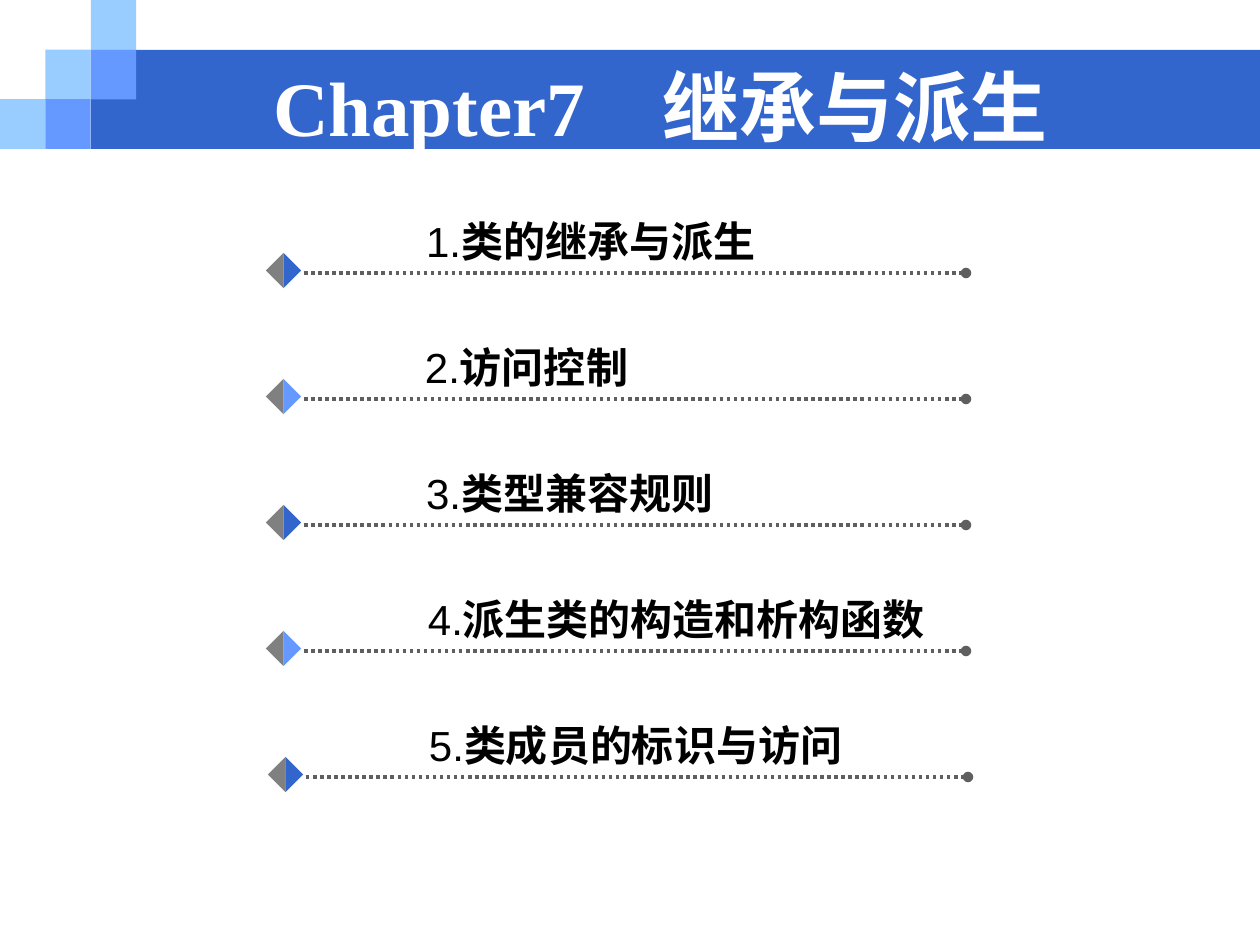
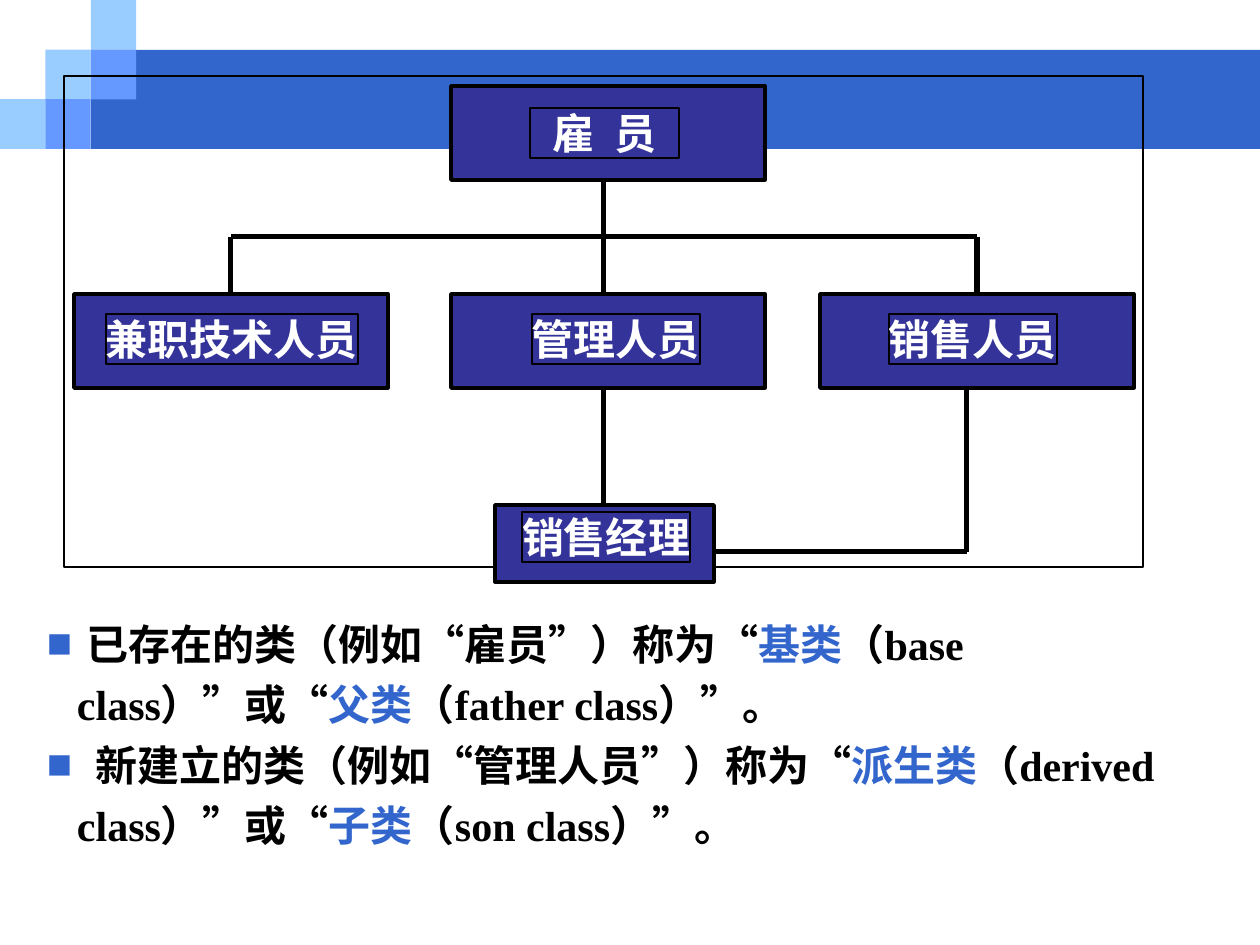
import pptx
import pptx.util
import pptx.dml.color
import pptx.enum.dml
import pptx.enum.shapes
import pptx.enum.text
import pptx.oxml.ns
import lxml.etree

EMU_PER_PX = 914400 / 126
COLORS = {
    "band": "3366CC", "sky": "99CCFF", "mid": "6699FF", "gray": "808080",
    "dots": "5F5F5F", "node": "333399", "black": "000000", "white": "FFFFFF",
}
SHAPES = pptx.enum.shapes.MSO_SHAPE
ALIGN = pptx.enum.text.PP_ALIGN
ANCHOR = pptx.enum.text.MSO_ANCHOR
SERIF, SANS = "Times New Roman", "Arial"
BOLD_24 = {"size": pptx.util.Pt(24), "name": SERIF, "bold": True}
PLAIN_24 = {"size": pptx.util.Pt(24), "name": SANS, "bold": False}
BOLD_44 = {"size": pptx.util.Pt(44), "name": SERIF, "bold": True}
CHARACTER = 42  # width of one 24 pt Chinese character


# Basics
def px(length):
    return pptx.util.Emu(round(length * EMU_PER_PX))


def rgb(name):
    return pptx.dml.color.RGBColor.from_string(COLORS[name])


def apply_format(target, values):
    for attribute, value in values.items():
        setattr(target, attribute, value)


def add_element(parent, tag, **attributes):
    element = lxml.etree.SubElement(parent, pptx.oxml.ns.qn(tag))
    for name, value in attributes.items():
        element.set(name, value)
    return element


# Shapes and lines
def add_block(slide, box, fill=None, outline=None, kind=SHAPES.RECTANGLE, rotation=0):
    shape = slide.shapes.add_shape(kind, *map(px, box))
    shape.shadow.inherit = False
    shape.rotation = rotation
    if fill:
        shape.fill.solid()
        shape.fill.fore_color.rgb = rgb(fill)
    else:
        shape.fill.background()
    if outline:
        shape.line.color.rgb = rgb("black")
        shape.line.width = pptx.util.Pt(outline)
    else:
        shape.line.fill.background()
    return shape


def add_line(slide, ends, color, width):
    straight = pptx.enum.shapes.MSO_CONNECTOR.STRAIGHT
    connector = slide.shapes.add_connector(straight, *map(px, ends))
    connector.line.color.rgb = rgb(color)
    connector.line.width = pptx.util.Pt(width)
    add_element(connector._element.spPr, "a:effectLst")
    return connector


# Text
def set_frame(frame, wrap=True, anchor=ANCHOR.TOP, inset_x=13, inset_y=6):
    apply_format(frame, {
        "word_wrap": wrap, "vertical_anchor": anchor,
        "margin_left": px(inset_x), "margin_right": px(inset_x),
        "margin_top": px(inset_y), "margin_bottom": px(inset_y),
    })
    return frame


def add_text_box(slide, box, **options):
    return set_frame(slide.shapes.add_textbox(*map(px, box)).text_frame, **options)


def add_run(paragraph, text, font_format, color="black", spacing=0):
    """Spacing is the extra width after each character, in points."""
    run = paragraph.add_run()
    run.text = text
    apply_format(run.font, font_format)
    run.font.color.rgb = rgb(color)
    properties = run._r.get_or_add_rPr()
    properties.set("lang", "zh-CN")
    if spacing:
        properties.set("spc", str(spacing * 100))


def add_bullet(paragraph, indent):
    properties = paragraph._p.get_or_add_pPr()
    properties.set("marL", str(px(indent)))
    properties.set("indent", str(-px(indent)))
    color = add_element(properties, "a:buClr")
    add_element(color, "a:srgbClr", val=COLORS["band"])
    add_element(properties, "a:buFont", typeface=SANS)
    add_element(properties, "a:buChar", char="■")


# Header shared by both slides
def add_header(slide):
    add_block(slide, (91, 50, 1169, 99), "band")
    for column, row, fill in [(0, 2, "sky"), (1, 1, "sky"), (2, 0, "sky"),
                              (2, 1, "mid"), (1, 2, "mid")]:
        add_block(slide, (column * 45.4, row * 49.6, 45.4, 49.8), fill)


# Chapter contents
def add_topic(slide, number, title):
    top = 210 + 126 * (number - 1)
    shift = 2 if number == 5 else 0
    accent = "band" if number % 2 else "mid"
    line = add_line(slide, (304 + shift, top + 63, 966 + shift, top + 63), "dots", 2)
    line.line.dash_style = pptx.enum.dml.MSO_LINE.ROUND_DOT
    add_element(line.line._get_or_add_ln(), "a:tailEnd", type="oval")
    for fill, rotation in [("gray", 45), (accent, 225)]:
        add_block(slide, (271 + shift, top + 48, 25, 25), fill,
                  kind=SHAPES.RIGHT_TRIANGLE, rotation=rotation)
    left = (413, 412, 413, 415, 416)[number - 1]
    # Number, gap and insets take 71 px; the rest keeps the title on one line
    box = (left, top, 80 + CHARACTER * len(title), 63)
    paragraph = add_text_box(slide, box).paragraphs[0]
    add_run(paragraph, f"{number}.", PLAIN_24)
    add_run(paragraph, title, BOLD_24)


def build_contents(slide):
    add_header(slide)
    topics = ["类的继承与派生", "访问控制", "类型兼容规则",
              "派生类的构造和析构函数", "类成员的标识与访问"]
    for number, title in enumerate(topics, 1):
        add_topic(slide, number, title)
    frame = add_text_box(slide, (95, 36, 1131, 139), anchor=ANCHOR.MIDDLE)
    paragraph = frame.paragraphs[0]
    paragraph.alignment = ALIGN.CENTER
    for text, spacing in [("Chapter7", 0), (" ", 33), ("继承与派生", 0)]:
        add_run(paragraph, text, BOLD_44, "white", spacing)


# Class hierarchy
def add_node(slide, box, label_box, runs):
    add_block(slide, box, "node", outline=2)
    label = add_block(slide, label_box, outline=0.75)
    frame = set_frame(label.text_frame, wrap=False, inset_x=0, inset_y=0)
    paragraph = frame.paragraphs[0]
    paragraph.alignment = ALIGN.CENTER
    for text, spacing in runs:
        add_run(paragraph, text, BOLD_24, "white", spacing)


def add_hierarchy(slide):
    add_block(slide, (64, 76, 1079, 491), outline=0.75)
    middle, bar = 604, 237
    for ends in [
        (967, 388, 967, 552), (710, 552, 967, 552),
        (middle, 180, middle, 294), (middle, 388, middle, 503),
        (231, bar, 231, 294), (977, bar, 977, 294), (231, bar, 977, bar),
    ]:
        add_line(slide, ends, "black", 2.86)
    add_node(slide, (451, 86, 314, 94), (530, 108, 149, 50),
             [("雇", 0), (" ", 6), ("员", 0)])
    for name, box, label_left, label_top in [
        ("兼职技术人员", (74, 294, 314, 94), 106, 314),
        ("管理人员", (451, 294, 314, 94), 532, 314),
        ("销售人员", (820, 294, 314, 94), 889, 314),
        ("销售经理", (495, 505, 219, 77), 522, 512),
    ]:
        label_box = (label_left, label_top, CHARACTER * len(name), 50)
        add_node(slide, box, label_box, [(name, 0)])


def add_definitions(slide):
    frame = add_text_box(slide, (34, 602, 1191, 255))
    definitions = [
        (0, "已存在的类（例如“雇员”）称为“", "基类", "（base class）”或“",
         "父类", "（father class）”。"),
        (5, "新建立的类（例如“管理人员”）称为“", "派生类", "（derived class）”或“",
         "子类", "（son class）”。"),
    ]
    for index, (gap, *parts) in enumerate(definitions):
        paragraph = frame.add_paragraph() if index else frame.paragraphs[0]
        add_bullet(paragraph, 30)
        paragraph.line_spacing = 1.2
        add_run(paragraph, " ", BOLD_24, spacing=gap)
        for position, text in enumerate(parts):
            add_run(paragraph, text, BOLD_24, "band" if position % 2 else "black")


def build_hierarchy(slide):
    add_header(slide)
    add_definitions(slide)
    add_hierarchy(slide)


def main():
    presentation = pptx.Presentation()
    apply_format(presentation, {"slide_width": px(1260), "slide_height": px(945)})
    for build in (build_contents, build_hierarchy):
        build(presentation.slides.add_slide(presentation.slide_layouts[6]))
    presentation.save("out.pptx")


if __name__ == "__main__":
    main()
